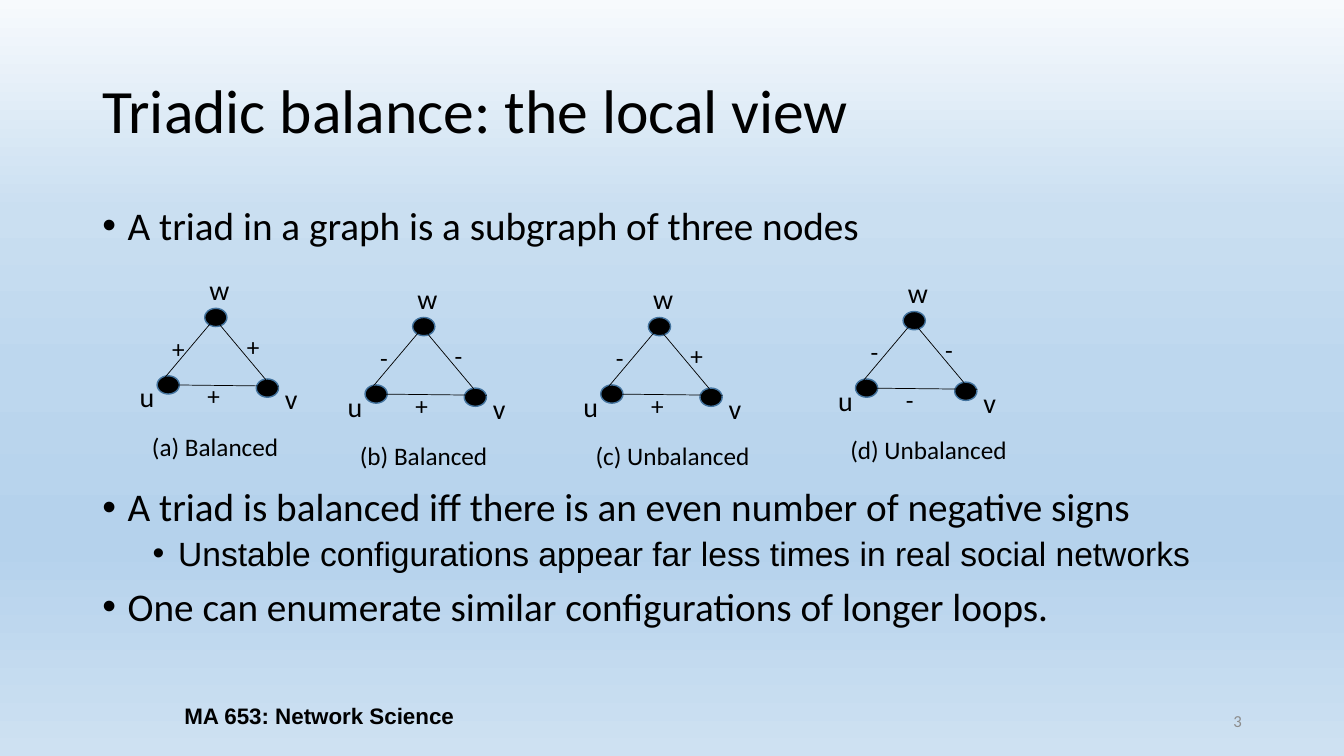
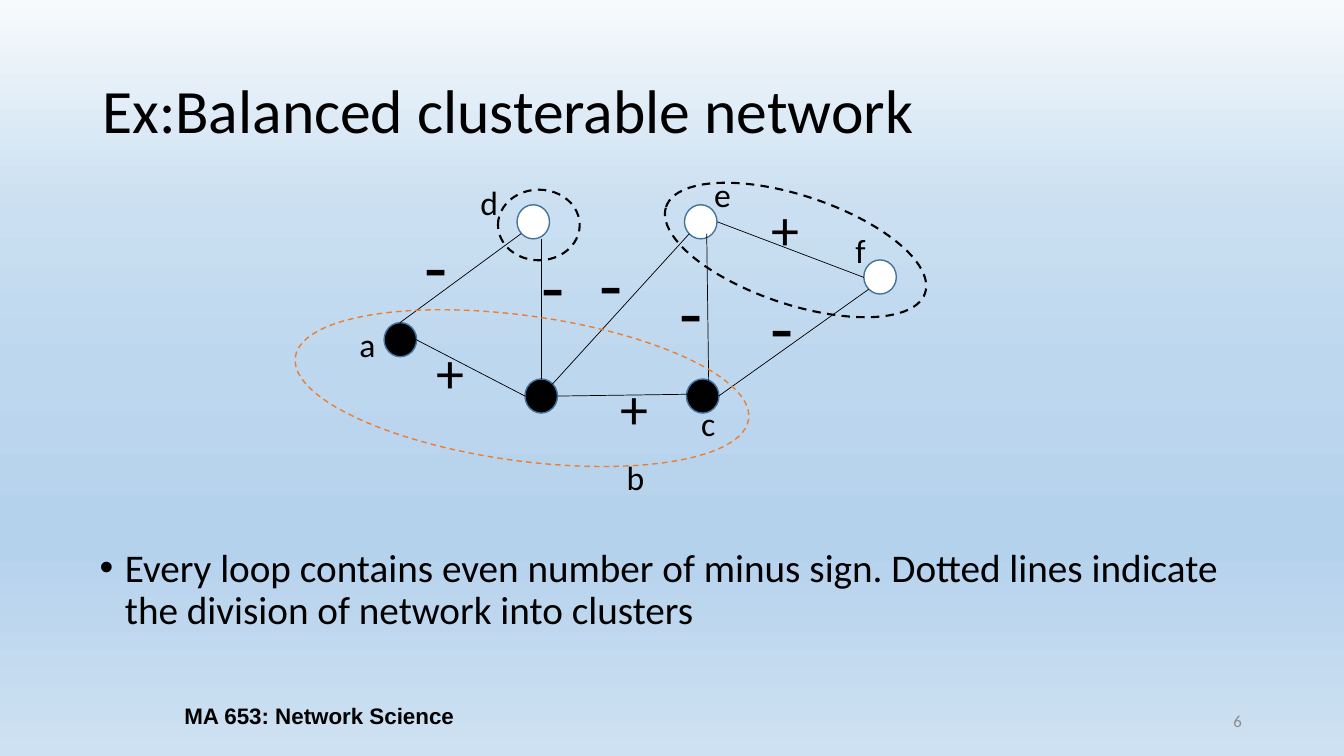
"""Build two slides on balance in signed networks."""
import pptx
import pptx.util
import pptx.dml.color
import pptx.enum.dml
import pptx.enum.shapes
import pptx.enum.text
import pptx.oxml.ns
from lxml import etree

Cm = pptx.util.Cm
Pt = pptx.util.Pt
qn = pptx.oxml.ns.qn
Align = pptx.enum.text.PP_ALIGN
Anchor = pptx.enum.text.MSO_ANCHOR
Oval = pptx.enum.shapes.MSO_SHAPE.OVAL

HUES = {"ink": "000000", "white": "FFFFFF", "rim": "43739E",
        "grey": "8C8C8C", "warm": "ED7D31"}
SKY = [(0, "F7FAFD"), (28, "CADFF1"), (49, "BDD7EE"),
       (71, "B5D2EC"), (72, "B5D2EC"), (100, "CEE1F2")]
COURSE = "MA 653: Network Science"

LEVELS = [
    {"size": 28, "font": "Calibri", "left": 0.64, "before": 10},
    {"size": 24, "font": "Arial", "left": 1.91, "before": 5},
]
HANG = 0.64

LOCAL = {
    "title": "Triadic balance: the local view",
    "page": "3",
    "body": [
        (2.33, 5.08, [(0, "A triad in a graph is a subgraph of three nodes")]),
        (2.33, 12.17, [
            (0, "A triad is balanced iff there is an even number of negative signs"),
            (1, "Unstable configurations appear far less times in real social networks"),
            (0, "One can enumerate similar configurations of longer loops."),
        ]),
    ],
}
TRIADS = [
    (3.96, 7.77, "+++", "(a) Balanced"),
    (9.2, 8, "--+", "(b) Balanced"),
    (15.14, 8, "-++", "(c) Unbalanced"),
    (21.56, 7.85, "---", "(d) Unbalanced"),
]
CORNERS = [(1.2, 0), (0, 1.7), (2.5, 1.78)]
SIDES = [(1.47, 0.23, 0.08, 1.88), (1.55, 0.38, 2.74, 1.8),
         (0.36, 1.93, 3.07, 1.96)]
NAMES = [("u", -0.69, 1.68), ("v", 2.97, 1.73), ("w", 1.07, -1.04)]
SIGNS = [(0.13, 0.51), (2.01, 0.46), (1.02, 1.7)]

CLUSTER = {
    "title": "Ex:Balanced clusterable network",
    "page": "6",
    "body": [
        (2.26, 13.7, [(0, "Every loop contains even number of minus sign. "
                          "Dotted lines indicate the division of network into clusters")]),
    ],
}
NODES = [
    (13.03, 5.16, "white"), (17.25, 5.16, "white"), (21.77, 6.55, "white"),
    (9.68, 8.13, "ink"), (13.23, 9.55, "ink"), (17.3, 9.55, "ink"),
]
EDGES = [
    (10.08, 8.13, 13.13, 5.89), (13.64, 6.02, 13.64, 9.55),
    (10.49, 8.56, 13.23, 9.98), (13.92, 9.68, 17.37, 5.89),
    (17.81, 5.89, 17.86, 9.68), (14.05, 9.98, 17.68, 9.93),
    (18.11, 9.98, 21.89, 7.29), (18.08, 5.59, 21.77, 6.99),
]
MARKS = [
    ("-", 54, [(10.46, 5.38), (13.39, 5.89), (14.86, 5.84),
               (16.87, 6.55), (19.18, 6.93)]),
    ("+", 40, [(10.74, 8.38), (15.39, 9.3), (19.2, 4.78)]),
]
RINGS = [
    (12.55, 4.78, 2.06, 1.78, 0, "ink", 1.5),
    (16.61, 4.93, 6.88, 2.74, 18.4, "ink", 1.5),
    (7.39, 7.95, 11.53, 3.66, 7.8, "warm", 1),
]
TAGS = [("a", 8.81, 8.05), ("b", 15.54, 11.38), ("c", 17.42, 10.03),
        ("d", 11.86, 4.45), ("e", 17.75, 4.27), ("f", 21.31, 5.66)]


def shade(name):
    return pptx.dml.color.RGBColor.from_string(HUES[name])


def add_run(para, text, size, font="Calibri", hue="ink", bold=False):
    run = para.add_run()
    run.text = text
    run.font.size = Pt(size)
    run.font.name = font
    run.font.bold = bold
    run.font.color.rgb = shade(hue)


def add_frame(shapes, left, top, width, height, anchor=Anchor.TOP):
    frame = shapes.add_textbox(Cm(left), Cm(top), Cm(width), Cm(height)).text_frame
    frame.word_wrap = True
    frame.vertical_anchor = anchor
    return frame


def add_label(shapes, text, left, top, size, width=1.5):
    frame = add_frame(shapes, left, top, width, 0.25 + size * 0.043)
    add_run(frame.paragraphs[0], text, size)


def add_oval(shapes, left, top, width, height, fill, rim, weight):
    oval = shapes.add_shape(Oval, Cm(left), Cm(top), Cm(width), Cm(height))
    oval.shadow.inherit = False
    if fill:
        oval.fill.solid()
        oval.fill.fore_color.rgb = shade(fill)
    else:
        oval.fill.background()
    oval.line.color.rgb = shade(rim)
    oval.line.width = Pt(weight)
    return oval


def add_edge(shapes, *ends):
    kind = pptx.enum.shapes.MSO_CONNECTOR.STRAIGHT
    edge = shapes.add_connector(kind, *[Cm(end) for end in ends])
    edge.line.color.rgb = shade("ink")
    edge.line.width = Pt(0.5)
    etree.SubElement(edge._element.spPr, qn("a:effectLst"))


def add_list(shapes, left, top, items):
    frame = add_frame(shapes, left, top, 29.21, 1.3 * len(items))
    for num, (level, text) in enumerate(items):
        para = frame.add_paragraph() if num else frame.paragraphs[0]
        style = LEVELS[level]
        para.level = level
        para.line_spacing = 0.9
        if num:
            para.space_before = Pt(style["before"])
        props = para._p.get_or_add_pPr()
        props.set("marL", str(Cm(style["left"])))
        props.set("indent", str(-Cm(HANG)))
        etree.SubElement(props, qn("a:buFont"), typeface="Arial")
        etree.SubElement(props, qn("a:buChar"), char="•")
        add_run(para, text, style["size"], style["font"])


def paint_sky(master):
    fill = master.background.fill
    fill.gradient()
    fill.gradient_angle = 270
    stops = master.element.find(".//" + qn("p:bg")).find(".//" + qn("a:gsLst"))
    for stop in list(stops):
        stops.remove(stop)
    for pos, hue in SKY:
        stop = etree.SubElement(stops, qn("a:gs"), pos=str(pos * 1000))
        etree.SubElement(stop, qn("a:srgbClr"), val=hue)


def add_slide(deck, data):
    shapes = deck.slides.add_slide(deck.slide_layouts[6]).shapes
    head = add_frame(shapes, 2.33, 1.02, 29.21, 3.68, Anchor.MIDDLE).paragraphs[0]
    head.line_spacing = 0.9
    add_run(head, data["title"], 44)
    for left, top, items in data["body"]:
        add_list(shapes, left, top, items)
    page = add_frame(shapes, 23.93, 17.65, 7.62, 1.02, Anchor.MIDDLE).paragraphs[0]
    page.alignment = Align.RIGHT
    add_run(page, data["page"], 12, hue="grey")
    foot = add_frame(shapes, 2.33, 17.53, 11.43, 1.02, Anchor.MIDDLE).paragraphs[0]
    foot.alignment = Align.CENTER
    add_run(foot, COURSE, 16, "Arial", bold=True)
    return shapes


def add_triad(shapes, left, top, signs, caption):
    for x, y in CORNERS:
        add_oval(shapes, left + x, top + y, 0.56, 0.46, "ink", "rim", 1)
    for x1, y1, x2, y2 in SIDES:
        add_edge(shapes, left + x1, top + y1, left + x2, top + y2)
    for name, x, y in NAMES:
        add_label(shapes, name, left + x, top + y, 20)
    for sign, (x, y) in zip(signs, SIGNS):
        add_label(shapes, sign, left + x, top + y, 18)
    add_label(shapes, caption, left - 0.38, top + 2.97, 18, 5)


def add_network(shapes):
    for left, top, fill in NODES:
        add_oval(shapes, left, top, 0.82, 0.86, fill, "rim", 1)
    for ends in EDGES:
        add_edge(shapes, *ends)
    for sign, size, spots in MARKS:
        for left, top in spots:
            add_label(shapes, sign, left, top, size)


def main():
    deck = pptx.Presentation()
    deck.slide_width = Cm(33.87)
    deck.slide_height = Cm(19.05)
    paint_sky(deck.slide_master)

    shapes = add_slide(deck, LOCAL)
    for triad in TRIADS:
        add_triad(shapes.add_group_shape().shapes, *triad)

    shapes = add_slide(deck, CLUSTER)
    add_network(shapes.add_group_shape().shapes)
    for left, top, width, height, turn, hue, weight in RINGS:
        ring = add_oval(shapes, left, top, width, height, None, hue, weight)
        ring.rotation = turn
        ring.line.dash_style = pptx.enum.dml.MSO_LINE.DASH
    for name, left, top in TAGS:
        add_label(shapes, name, left, top, 24)

    deck.save("out.pptx")


if __name__ == "__main__":
    main()
